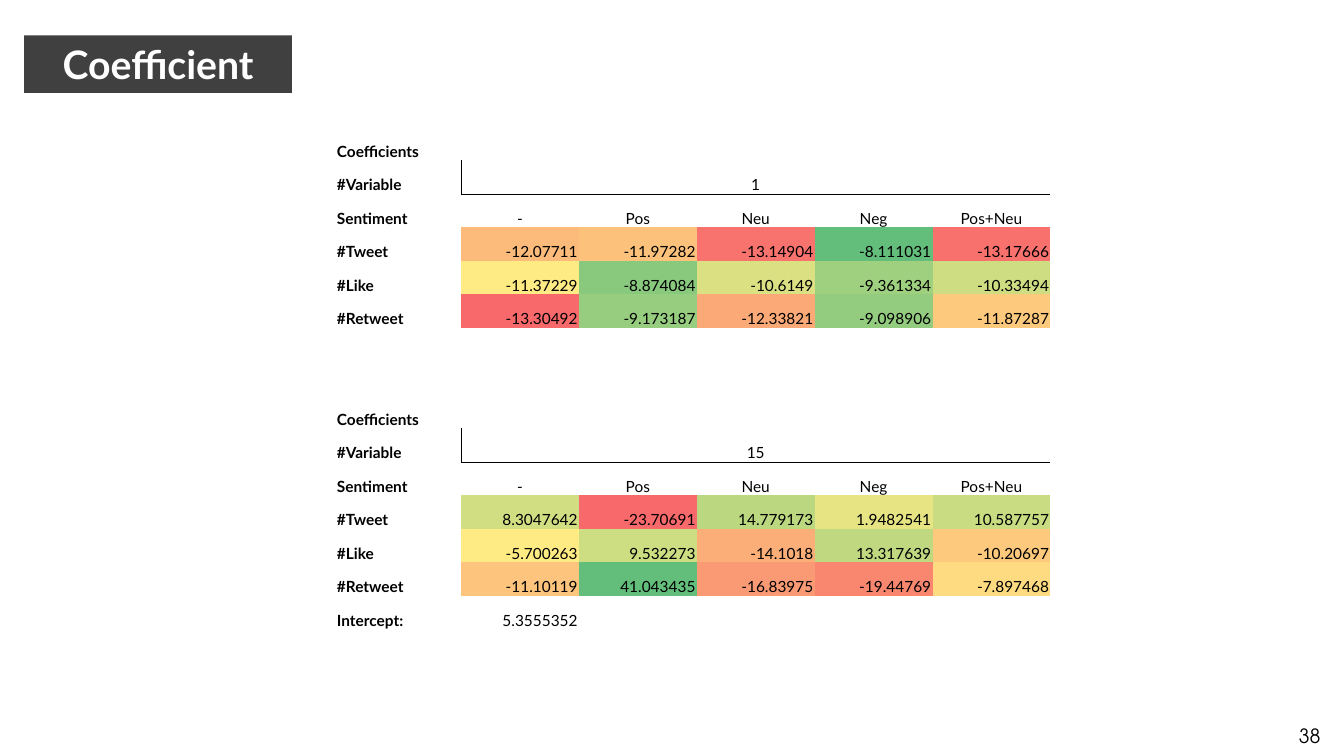
from pptx import Presentation
from pptx.dml.color import RGBColor
from pptx.enum.shapes import MSO_SHAPE as Shape
from pptx.enum.text import MSO_ANCHOR as Anchor, PP_ALIGN as Align
from pptx.oxml import parse_xml
from pptx.oxml.ns import nsdecls
from pptx.util import Cm, Pt

LOW, MIDDLE, HIGH = "F8696B", "FFEB84", "63BE7B"
SENTIMENTS = ["-", "Pos", "Neu", "Neg", "Pos+Neu"]
MEASURES = ["#Tweet", "#Like", "#Retweet"]
MODELS = [
    (0, "1", [
        ["-12.07711", "-11.97282", "-13.14904", "-8.111031", "-13.17666"],
        ["-11.37229", "-8.874084", "-10.6149", "-9.361334", "-10.33494"],
        ["-13.30492", "-9.173187", "-12.33821", "-9.098906", "-11.87287"],
    ]),
    (8, "15", [
        ["8.3047642", "-23.70691", "14.779173", "1.9482541", "10.587757"],
        ["-5.700263", "9.532273", "-14.1018", "13.317639", "-10.20697"],
        ["-11.10119", "41.043435", "-16.83975", "-19.44769", "-7.897468"],
    ]),
]


def color(value):
    return RGBColor.from_string(value)


def write(frame, text, size=11, font="Lato", ink="000000", bold=False, align=Align.LEFT):
    para = frame.paragraphs[0]
    para.alignment = align
    span = para.add_run()
    span.text = text
    span.font.size = Pt(size)
    span.font.name = font
    span.font.bold = bold
    span.font.color.rgb = color(ink)


deck = Presentation()
deck.slide_width, deck.slide_height = Cm(33.87), Cm(19.05)
page = deck.slides.add_slide(deck.slide_layouts[6])

number_box = page.shapes.add_textbox(Cm(25.91), Cm(18.03), Cm(7.62), Cm(1.02))
number_box.text_frame.word_wrap = True
number_box.text_frame.vertical_anchor = Anchor.MIDDLE
write(number_box.text_frame, "38", size=14, font="TeX Gyre Adventor", align=Align.RIGHT)

table_frame = page.shapes.add_table(15, 6, Cm(8.46), Cm(3.2), Cm(18.01), Cm(12.67))
table = table_frame.table
table.first_row = table.horz_banding = False
style = table_frame._element.graphic.graphicData.tbl.tblPr[0]
style.text = "{2D5ABB26-0587-4C30-8999-92F81FD0307C}"
for index, column in enumerate(table.columns):
    column.width = Cm(2.97) if index else Cm(3.16)
for row in table.rows:
    row.height = Cm(12.67) // 15

for top, variables, rows in MODELS:
    for column in range(1, 6):
        sides = ["lnL"] * (column == 1) + ["lnR"] * (column == 5) + ["lnB"]
        properties = table.cell(top + 1, column)._tc.get_or_add_tcPr()
        for side in sides:
            properties.append(parse_xml(
                f'<a:{side} {nsdecls("a")} w="6350"><a:solidFill>'
                f'<a:srgbClr val="000000"/></a:solidFill></a:{side}>'))

for cell in table.iter_cells():
    cell.fill.solid()
    cell.fill.fore_color.rgb = color("FFFFFF")
    cell.vertical_anchor = Anchor.BOTTOM
    cell.margin_left = cell.margin_right = cell.margin_top = Cm(0.03)
    cell.margin_bottom = 0
    cell.text_frame.paragraphs[0]._p.get_or_add_endParaRPr().set("sz", "1100")

for top, variables, rows in MODELS:
    table.cell(top, 0).merge(table.cell(top, 1))
    table.cell(top + 1, 1).merge(table.cell(top + 1, 5))
    labels = ["Coefficients", "#Variable", "Sentiment"] + MEASURES
    for offset, label in enumerate(labels):
        write(table.cell(top + offset, 0).text_frame, label, bold=True)
    write(table.cell(top + 1, 1).text_frame, variables, align=Align.CENTER)
    for column, sentiment in enumerate(SENTIMENTS, 1):
        write(table.cell(top + 2, column).text_frame, sentiment, align=Align.CENTER)

    ranked = sorted(float(text) for row in rows for text in row)
    lowest, median, highest = ranked[0], ranked[len(ranked) // 2], ranked[-1]
    for row_index, row in enumerate(rows, top + 3):
        for column, text in enumerate(row, 1):
            value = float(text)
            if value < median:
                start, end, share = LOW, MIDDLE, (value - lowest) / (median - lowest)
            else:
                start, end, share = MIDDLE, HIGH, (value - median) / (highest - median)
            channels = [
                a + int((b - a) * share)
                for a, b in zip(bytes.fromhex(start), bytes.fromhex(end))
            ]
            cell = table.cell(row_index, column)
            cell.fill.fore_color.rgb = color(bytes(channels).hex().upper())
            write(cell.text_frame, text, align=Align.RIGHT)

write(table.cell(14, 0).text_frame, "Intercept:", bold=True)
write(table.cell(14, 1).text_frame, "5.3555352", align=Align.RIGHT)

title = page.shapes.add_shape(Shape.RECTANGLE, Cm(0.61), Cm(0.89), Cm(6.75), Cm(1.45))
title.shadow.inherit = False
title.fill.solid()
title.fill.fore_color.rgb = color("404040")
title.line.fill.background()
title.text_frame.vertical_anchor = Anchor.MIDDLE
write(title.text_frame, "Coefficient", size=28, ink="FFFFFF", bold=True, align=Align.CENTER)

deck.save("out.pptx")
